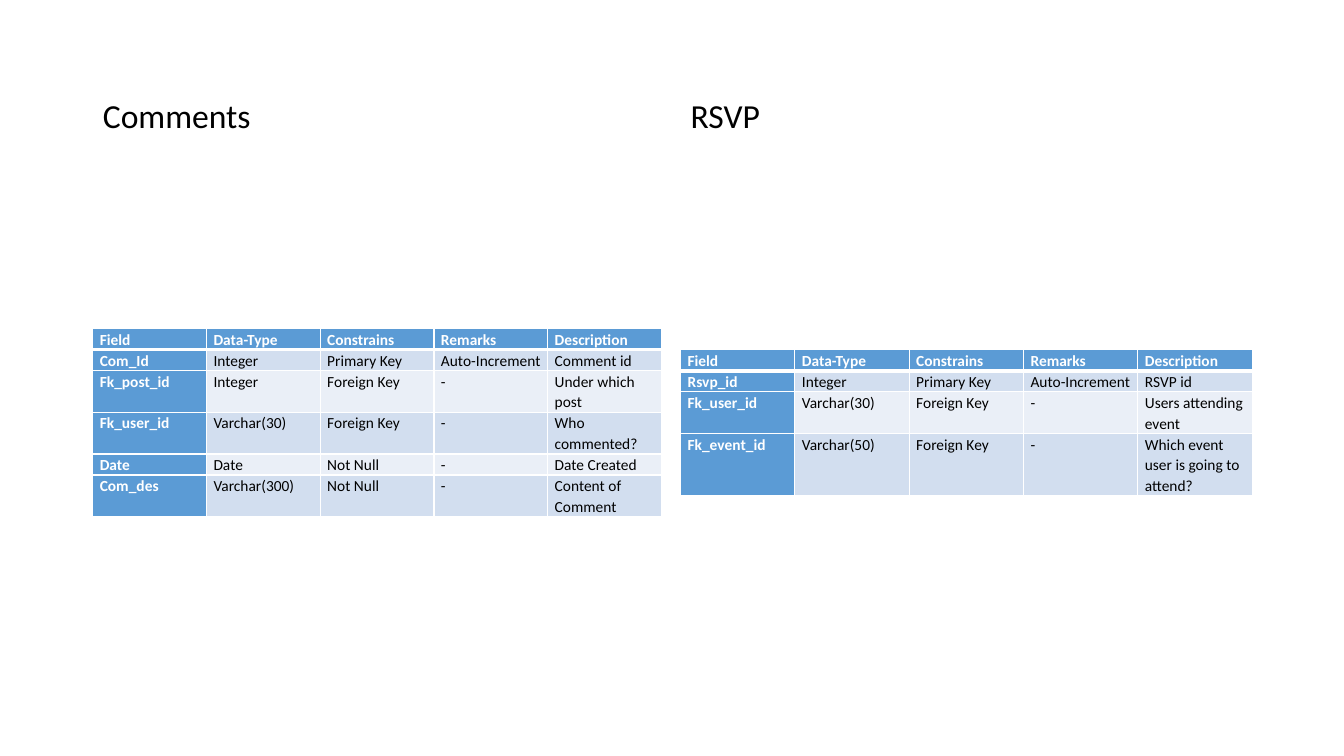
from lxml import etree
from pptx import Presentation
from pptx.dml.color import RGBColor
from pptx.enum.text import MSO_ANCHOR, PP_ALIGN
from pptx.oxml.ns import qn
from pptx.util import Inches, Pt

BOTTOM, TOP, LEFT = MSO_ANCHOR.BOTTOM, MSO_ANCHOR.TOP, PP_ALIGN.LEFT
FONT = "Calibri"
BLACK, WHITE, BLUE = "000000", "FFFFFF", "5B9BD5"
BANDS = ["EAEFF7", "D2DEEF"]

HEADER = ("Field", "Data-Type", "Constrains", "Remarks", "Description")
COMMENTS = [
    ("Com_Id", "Integer", "Primary Key", "Auto-Increment", "Comment id"),
    ("Fk_post_id", "Integer", "Foreign Key", "-", "Under which post"),
    ("Fk_user_id", "Varchar(30)", "Foreign Key", "-", "Who commented?"),
    ("Date", "Date", "Not Null", "-", "Date Created"),
    ("Com_des", "Varchar(300)", "Not Null", "-", "Content of Comment"),
]
RSVP = [
    ("Rsvp_id", "Integer", "Primary Key", "Auto-Increment", "RSVP id"),
    ("Fk_user_id", "Varchar(30)", "Foreign Key", "-", "Users attending event"),
    ("Fk_event_id", "Varchar(50)", "Foreign Key", "-",
     "Which event user is going to attend?"),
]
# heading placeholder, heading, left, width, table top, lines per row, records
PANELS = [
    (1, "Comments", 0.92, 5.64, 3.26, [1, 1, 2, 2, 1, 2], COMMENTS),
    (3, "RSVP", 6.75, 5.67, 3.47, [1, 1, 2, 3], RSVP),
]
HEADING_TOP, HEADING_HEIGHT = 0.43, 0.97
LINE_HEIGHT = 0.2


def rgb(color):
    return RGBColor.from_string(color)


def set_font(p, size, color, bold):
    p.alignment = LEFT
    p.font.name, p.font.size, p.font.bold = FONT, Pt(size), bold
    p.font.color.rgb = rgb(color)


def add_heading(slide, idx, text, left, width):
    sp = slide.placeholders[idx]
    sp.left, sp.top = Inches(left), Inches(HEADING_TOP)
    sp.width, sp.height = Inches(width), Inches(HEADING_HEIGHT)
    tf = sp.text_frame
    tf.text, tf.vertical_anchor = text, BOTTOM
    p = tf.paragraphs[0]
    p.line_spacing, p.space_before = 0.9, Pt(10)
    set_font(p, 24, BLACK, False)


def add_borders(cell, bottom):
    tc_pr = cell._tc.get_or_add_tcPr()
    for side, width in (("L", 1), ("R", 1), ("T", 1), ("B", bottom)):
        ln = etree.SubElement(tc_pr, qn(f"a:ln{side}"), w=str(Pt(width)))
        fill = etree.SubElement(ln, qn("a:solidFill"))
        etree.SubElement(fill, qn("a:srgbClr"), val=WHITE)


def format_cell(cell, text, row, col):
    is_header = row == 0 or col == 0
    add_borders(cell, 3 if row == 0 else 1)
    cell.fill.solid()
    cell.fill.fore_color.rgb = rgb(BLUE if is_header else BANDS[row % 2])
    cell.margin_left = cell.margin_right = Inches(0.07)
    cell.margin_top = cell.margin_bottom = 0
    cell.vertical_anchor = TOP
    cell.text = text
    p = cell.text_frame.paragraphs[0]
    p.line_spacing = 1.1
    set_font(p, 11, WHITE if is_header else BLACK, is_header)


def add_field_table(slide, left, top, width, lines, records):
    rows = [HEADER, *records]
    table = slide.shapes.add_table(
        len(rows), len(HEADER), Inches(left), Inches(top),
        Inches(width), Inches(LINE_HEIGHT * sum(lines))).table
    table.first_col = True
    for r, values in enumerate(rows):
        table.rows[r].height = Inches(LINE_HEIGHT * lines[r])
        for c, text in enumerate(values):
            format_cell(table.cell(r, c), text, r, c)


def main():
    prs = Presentation()
    prs.slide_width, prs.slide_height = Inches(13.33), Inches(7.5)
    slide = prs.slides.add_slide(prs.slide_layouts.get_by_name("Comparison"))
    for idx, heading, left, width, top, lines, records in PANELS:
        add_heading(slide, idx, heading, left, width)
        add_field_table(slide, left, top, width, lines, records)
    for sp in list(slide.placeholders):
        if not sp.text_frame.text:
            sp.element.getparent().remove(sp.element)
    prs.save("out.pptx")


if __name__ == "__main__":
    main()
